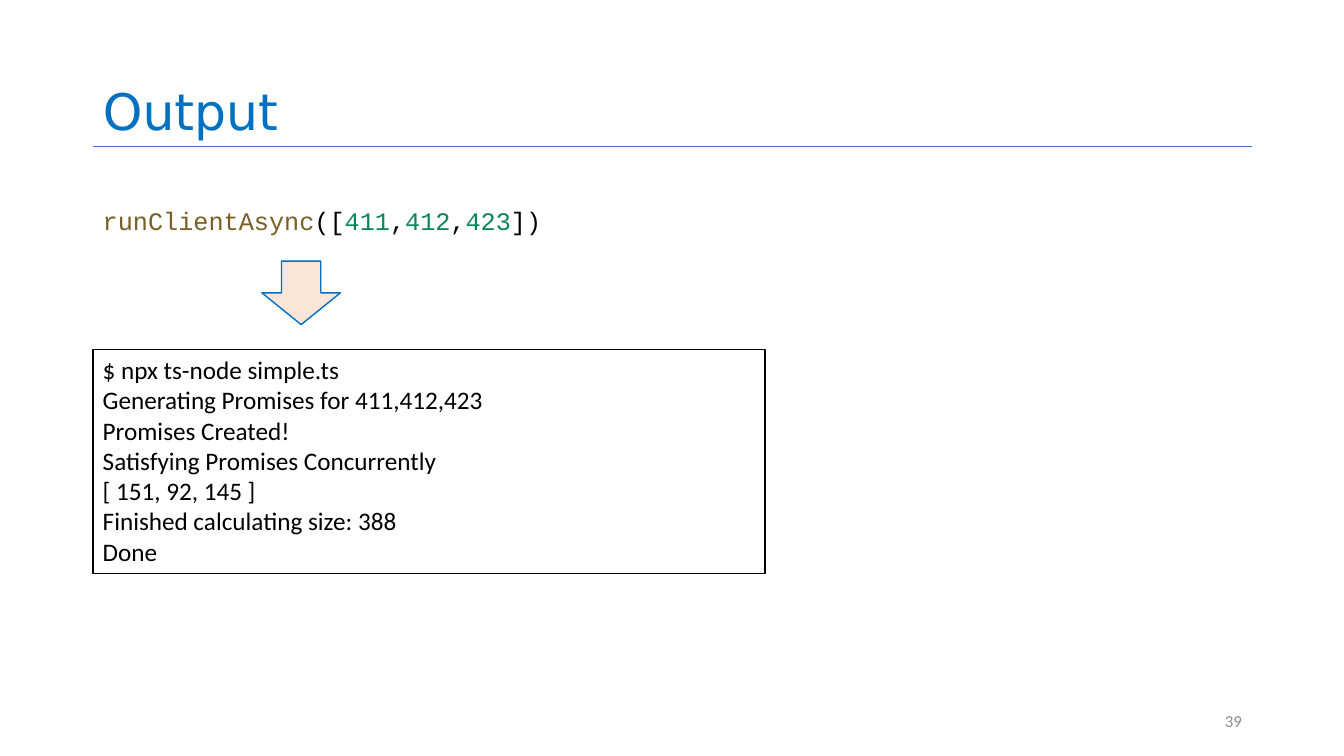
from dataclasses import dataclass

from lxml import etree
from pptx import Presentation
from pptx.dml.color import RGBColor
from pptx.enum.shapes import MSO_CONNECTOR, MSO_SHAPE
from pptx.enum.text import MSO_ANCHOR, MSO_AUTO_SIZE, PP_ALIGN
from pptx.oxml.ns import qn
from pptx.util import Cm, Pt

RECTANGLE, DOWN_ARROW = MSO_SHAPE.RECTANGLE, MSO_SHAPE.DOWN_ARROW
STRAIGHT = MSO_CONNECTOR.STRAIGHT
TOP, MIDDLE, BOTTOM = MSO_ANCHOR.TOP, MSO_ANCHOR.MIDDLE, MSO_ANCHOR.BOTTOM
LEFT, RIGHT = PP_ALIGN.LEFT, PP_ALIGN.RIGHT
NO_FIT = MSO_AUTO_SIZE.NONE
TITLE_ONLY = 5


@dataclass(frozen=True)
class Theme:
    blue: str = "0070C0"
    rule: str = "4472C4"
    black: str = "000000"
    white: str = "FFFFFF"
    peach: str = "FBE5D6"
    grey: str = "8C8C8C"
    function: str = "795E26"
    number: str = "098658"
    title_font: str = "DejaVu Sans"
    body_font: str = "Calibri"
    code_font: str = "Courier New"
    title_size: int = 36
    body_size: int = 18
    small_size: int = 12


THEME = Theme()
MARGIN = 2.34
CONTENT_WIDTH = 29.21
PANEL_WIDTH = 16.94
RULE_TOP = 3.68

CALL = [
    ("runClientAsync", THEME.function),
    ("([", THEME.black),
    ("411", THEME.number),
    (",", THEME.black),
    ("412", THEME.number),
    (",", THEME.black),
    ("423", THEME.number),
    ("])", THEME.black),
]
CONSOLE = [
    "$ npx ts-node simple.ts",
    "Generating Promises for 411,412,423",
    "Promises Created!",
    "Satisfying Promises Concurrently",
    "[ 151, 92, 145 ]",
    "Finished calculating size: 388",
    "Done",
]


def apply(target, values):
    for name, value in values.items():
        setattr(target, name, value)


def place(shape, left, top, width, height):
    apply(shape, {"left": Cm(left), "top": Cm(top), "width": Cm(width), "height": Cm(height)})


def write(shape, lines, font, size, anchor=TOP, align=LEFT, spacing=1.0):
    frame = shape.text_frame
    apply(frame, {"word_wrap": True, "auto_size": NO_FIT, "vertical_anchor": anchor})
    for index, spans in enumerate(lines):
        para = frame.add_paragraph() if index else frame.paragraphs[0]
        apply(para, {"alignment": align, "line_spacing": spacing})
        for text, color in spans:
            span = para.add_run()
            span.text = text
            apply(span.font, {"name": font, "size": Pt(size)})
            span.font.color.rgb = RGBColor.from_string(color)


def add_title(page, text):
    title = page.shapes.title
    place(title, MARGIN, 0, CONTENT_WIDTH, RULE_TOP)
    write(title, [[(text, THEME.blue)]], THEME.title_font, THEME.title_size, BOTTOM, spacing=0.9)


def add_rule(page):
    rule = page.shapes.add_connector(
        STRAIGHT, Cm(MARGIN), Cm(RULE_TOP), Cm(MARGIN + CONTENT_WIDTH), Cm(RULE_TOP)
    )
    rule.line.color.rgb = RGBColor.from_string(THEME.rule)
    rule.line.width = Pt(0.5)
    etree.SubElement(rule.element.spPr, qn("a:effectLst"))


def add_text(page, bounds, lines, font, size, **layout):
    box = page.shapes.add_textbox(*map(Cm, bounds))
    write(box, lines, font, size, **layout)


def add_outlined(page, kind, bounds, fill, outline):
    shape = page.shapes.add_shape(kind, *map(Cm, bounds))
    shape.shadow.inherit = False
    shape.fill.solid()
    shape.fill.fore_color.rgb = RGBColor.from_string(fill)
    shape.line.color.rgb = RGBColor.from_string(outline)
    shape.line.width = Pt(1)
    return shape


def main():
    deck = Presentation()
    apply(deck, {"slide_width": Cm(33.87), "slide_height": Cm(19.05)})
    page = deck.slides.add_slide(deck.slide_layouts[TITLE_ONLY])
    add_rule(page)
    add_title(page, "Output")
    add_text(page, (23.93, 17.65, 7.62, 1.02), [[("39", THEME.grey)]],
             THEME.body_font, THEME.small_size, anchor=MIDDLE, align=RIGHT)
    console = add_outlined(page, RECTANGLE, (MARGIN, 8.81, PANEL_WIDTH, 5.64),
                           THEME.white, THEME.black)
    write(console, [[(line, THEME.black)] for line in CONSOLE],
          THEME.body_font, THEME.body_size)
    add_outlined(page, DOWN_ARROW, (6.6, 6.58, 1.98, 1.6), THEME.peach, THEME.blue)
    add_text(page, (MARGIN, 5.05, PANEL_WIDTH, 1.55), [CALL],
             THEME.code_font, THEME.body_size)
    deck.save("out.pptx")


if __name__ == "__main__":
    main()
